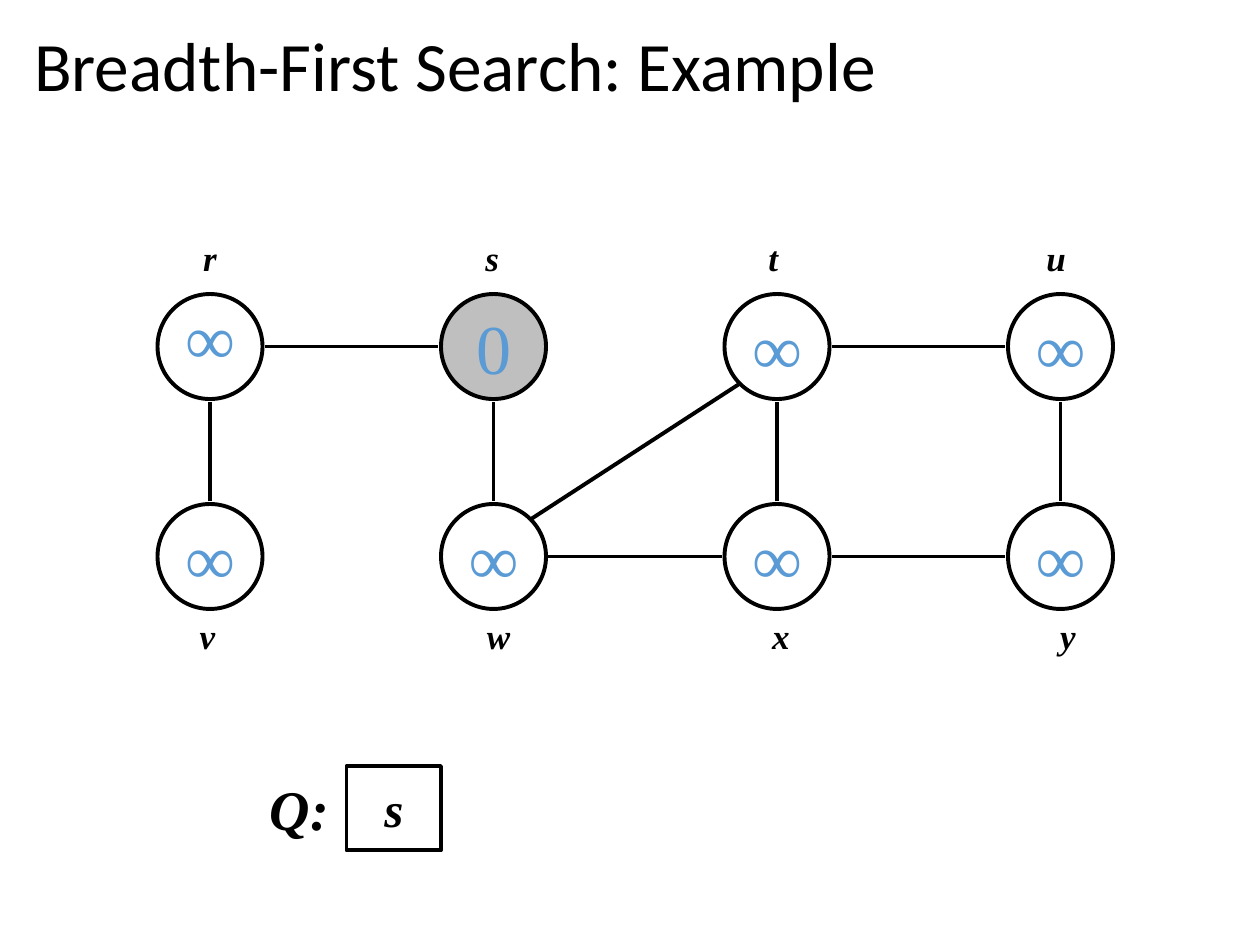
from math import hypot
from pptx import Presentation
from pptx.dml.color import RGBColor
from pptx.enum.shapes import MSO_CONNECTOR, MSO_SHAPE
from pptx.enum.text import MSO_ANCHOR, MSO_AUTO_SIZE, PP_ALIGN
from pptx.oxml.ns import qn
from pptx.util import Inches, Pt
from lxml.etree import SubElement

hue = RGBColor.from_string
INK, BLUE, GREY = "000000", "5B9BD5", "BFBFBF"
LEFT, TOP = 5 / 3, 2.75      # centre of the first node
COL, ROW = 2.25, 5 / 3       # steps between node centres
SIZE = 5 / 6                 # node diameter
GAP = 0.02                   # space between node and edge

deck = Presentation()
deck.slide_width, deck.slide_height = Inches(10), Inches(7.5)
slide = deck.slides.add_slide(deck.slide_layouts[5])
shapes = slide.shapes


def write(shape, text, size, color=INK, bold=True):
    frame = shape.text_frame
    frame.word_wrap = False
    frame.vertical_anchor = MSO_ANCHOR.MIDDLE
    para = frame.paragraphs[0]
    para.text = text
    para.alignment = PP_ALIGN.CENTER
    font = para.font
    font.name, font.size = "Times New Roman", Pt(size)
    font.bold = font.italic = bold
    font.color.rgb = hue(color)
    return para


def outline(kind, x, y, wide, high, fill=None):
    shape = shapes.add_shape(kind, Inches(x), Inches(y), Inches(wide), Inches(high))
    shape.shadow.inherit = False
    if fill:
        shape.fill.solid()
        shape.fill.fore_color.rgb = hue(fill)
    else:
        shape.fill.background()
    shape.line.color.rgb = hue(INK)
    shape.line.width = Pt(2.25)
    return shape


# Title
title = shapes.title
title.left, title.top = Inches(0.17), Inches(0.18)
title.width, title.height = Inches(9.62), Inches(0.74)
title.text_frame.auto_size = MSO_AUTO_SIZE.NONE
title.text_frame.vertical_anchor = MSO_ANCHOR.MIDDLE
head = title.text_frame.paragraphs[0]
head.text = "Breadth-First Search: Example"
head.alignment = PP_ALIGN.LEFT
head.line_spacing = 0.9
head.font.name, head.font.size = "Calibri", Pt(39.6)
head.font.color.rgb = hue(INK)

# Nodes with distances and names; each name has a small sideways shift
spots = {}
shifts = [[0, -0.01, -0.03, -0.04], [-0.02, 0.02, 0.03, 0.06]]
for row, names in enumerate(["rstu", "vwxy"]):
    for col, name in enumerate(names):
        x, y = LEFT + col * COL, TOP + row * ROW
        spots[name] = x, y
        source = name == "s"
        node = outline(MSO_SHAPE.OVAL, x - SIZE / 2, y - SIZE / 2, SIZE, SIZE,
                       GREY if source else None)
        para = write(node, "0" if source else "∞", 40, BLUE, False)
        if name == "r":
            para.line_spacing = 0.7
        label = shapes.add_textbox(Inches(x + shifts[row][col] - 0.17),
                                   Inches([1.83, 4.83][row]),
                                   Inches(0.34), Inches(0.43))
        write(label, name, 20)

# Edges run from rim to rim
for a, b in ["vr", "rs", "sw", "wt", "wx", "xt", "tu", "xy", "yu"]:
    (ax, ay), (bx, by) = spots[a], spots[b]
    across = (bx > ax) - (bx < ax)
    down = (by > ay) - (by < ay)
    reach = (SIZE / 2 + GAP * (a + b != "wt")) / hypot(across, down)
    dx, dy = across * reach, down * reach
    edge = shapes.add_connector(MSO_CONNECTOR.STRAIGHT, Inches(ax + dx), Inches(ay + dy),
                                Inches(bx - dx), Inches(by - dy))
    edge.line.color.rgb = hue(INK)
    edge.line.width = Pt(2.25)
    SubElement(edge._element.spPr, qn("a:effectLst"))

# Queue
cell = outline(MSO_SHAPE.RECTANGLE, 2.75, 6.08, 0.75, 0.67)
write(cell, "s", 28)
queue = shapes.add_textbox(Inches(2), Inches(6.08), Inches(0.75), Inches(0.67))
write(queue, "Q:", 32)

deck.save("out.pptx")
